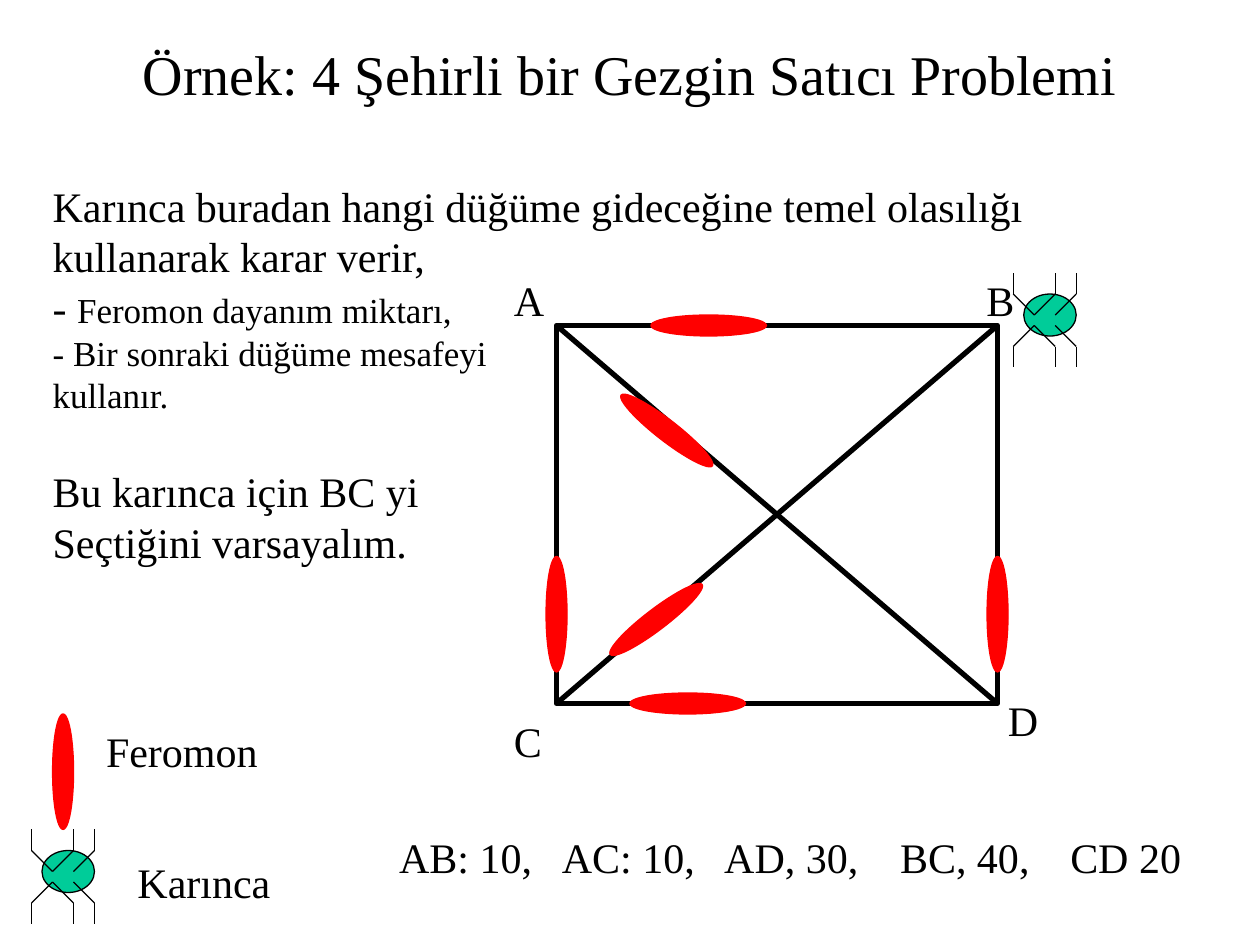
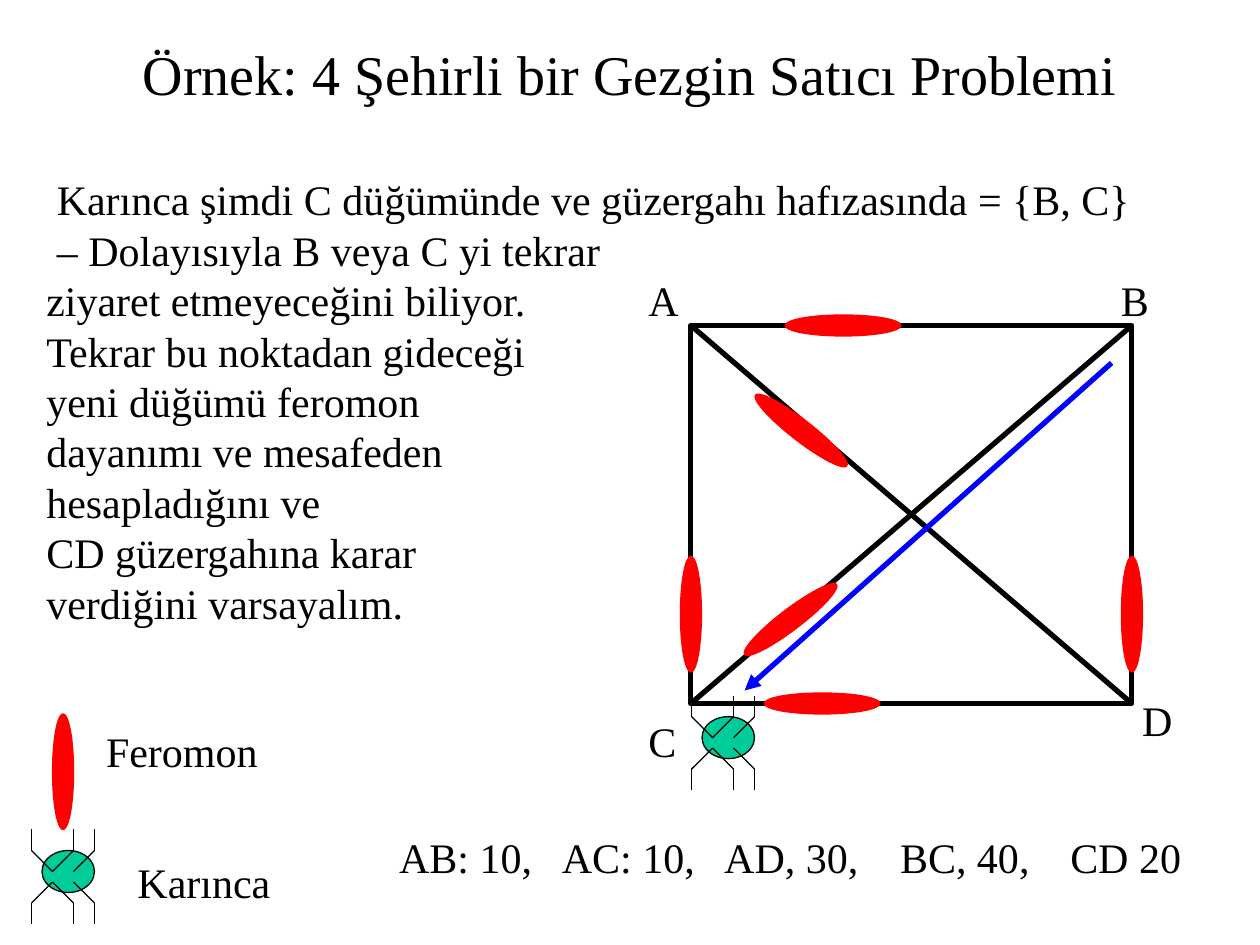
"""Two slides of an ant colony walking a four-city travelling salesman graph."""
import lxml.etree
import pptx
import pptx.dml.color
import pptx.enum.shapes
import pptx.enum.text
import pptx.oxml.ns
import pptx.util

Pt = pptx.util.Pt
OVAL = pptx.enum.shapes.MSO_SHAPE.OVAL
RECTANGLE = pptx.enum.shapes.MSO_SHAPE.RECTANGLE
STRAIGHT = pptx.enum.shapes.MSO_CONNECTOR.STRAIGHT
CENTER = pptx.enum.text.PP_ALIGN.CENTER

COLORS = {"ink": "000000", "pheromone": "FF0000", "ant": "00CC99", "route": "0000FF"}
FONT = "Times New Roman"
LINE_HEIGHT = 1.2
SPACE = 6

TITLE = "Örnek: 4 Şehirli bir Gezgin Satıcı Problemi"
DISTANCES = ["AB: 10,", "AC: 10,", "AD, 30,", "BC, 40,", "CD 20"]
DISTANCE_TABS = [93, 185.75, 286.25, 383.5]
LEGEND = [("Feromon", 53.5, 411, 101), ("Karınca", 71.5, 486, 91)]
LEGEND_PHEROMONE = (3, 435, 90)
LEGEND_ANT = (24, 486)

SQUARE_TOP, SQUARE_WIDTH, SQUARE_HEIGHT = 186, 252, 216
CITIES = {"A": (-31.4, -32.6), "B": (238.6, -32.6), "C": (-31.4, 219.4), "D": (250.8, 207.2)}
TRAILS = [(42, 210, 0), (54, -6, 0), (24, 162, 322.7), (30, 54, 37.8), (219, 159, 90), (-33, 159, 90)]
LEGS = [(30, 18), (18, 6), (-6, 6)]

SLIDES = [
    {
        "square_left": 318, "ant": (585, 168), "route": None,
        "body": (23, 99.5, 643, 228),
        "paragraphs": [
            {"spans": [("Karınca buradan hangi düğüme gideceğine temel olasılığı kullanarak karar verir,", 24)]},
            {"spans": [("- ", 24), ("Feromon dayanım miktarı,", 20)]},
            {"spans": [("- Bir sonraki düğüme mesafeyi", 20)]},
            {"spans": [("kullanır.", 20)]},
            {"spans": [("Bu karınca için BC yi", 24)], "before": 28.8},
            {"spans": [("Seçtiğini varsayalım.", 24)]},
        ],
    },
    {
        "square_left": 394.8, "ant": (401.2, 409.5), "route": (635.2, 207.4, 425.5, 394.6),
        "body": (19.4, 95.8, 665, 266),
        "paragraphs": [
            {"spans": [("Karınca şimdi C düğümünde ve güzergahı hafızasında = {B, C}", 24)], "indent": SPACE},
            {"spans": [("– Dolayısıyla B veya C yi tekrar", 24)], "indent": SPACE},
            {"spans": [("ziyaret etmeyeceğini biliyor.", 24)]},
            {"spans": [("Tekrar bu noktadan gideceği", 24)]},
            {"spans": [("yeni düğümü feromon", 24)]},
            {"spans": [("dayanımı ve mesafeden", 24)]},
            {"spans": [("hesapladığını ve", 24)]},
            {"spans": [("CD güzergahına karar", 24)]},
            {"spans": [("verdiğini varsayalım.", 24)]},
        ],
    },
]


def rgb(name):
    return pptx.dml.color.RGBColor.from_string(COLORS[name])


def apply(target, values):
    for name, value in values.items():
        setattr(target, name, value)


def add_element(parent, tag, **attributes):
    return lxml.etree.SubElement(parent, pptx.oxml.ns.qn(tag), attributes)


def add_text(page, place, paragraphs, wrap=True, align=None, tabs=()):
    box = page.shapes.add_textbox(*map(Pt, place))
    frame = box.text_frame
    apply(frame, {"word_wrap": wrap, "margin_left": Pt(7.2), "margin_right": Pt(7.2),
                  "margin_top": Pt(3.6), "margin_bottom": Pt(3.6)})
    if align == CENTER:
        frame.vertical_anchor = pptx.enum.text.MSO_ANCHOR.MIDDLE
    for index, item in enumerate(paragraphs):
        para = frame.add_paragraph() if index else frame.paragraphs[0]
        largest = max(size for _, size in item["spans"])
        apply(para, {"alignment": align, "line_spacing": Pt(largest * LINE_HEIGHT)})
        if "before" in item:
            para.space_before = Pt(item["before"])
        properties = para._p.get_or_add_pPr()
        if "indent" in item:
            properties.set("marL", str(Pt(item["indent"])))
        if tabs:
            tab_list = add_element(properties, "a:tabLst")
            for position in tabs:
                add_element(tab_list, "a:tab", pos=str(Pt(position)), algn="l")
        for text, size in item["spans"]:
            span = para.add_run()
            span.text = text
            apply(span.font, {"name": FONT, "size": Pt(size)})
            span.font.color.rgb = rgb("ink")


def add_label(page, text, left, top, width):
    add_text(page, (left, top, width, 36), [{"spans": [(text, 24)]}], wrap=False)


def add_line(shapes, ends, color="ink", width=3):
    line = shapes.add_connector(STRAIGHT, *map(Pt, ends))
    line.line.color.rgb = rgb(color)
    line.line.width = Pt(width)
    add_element(line._element.spPr, "a:effectLst")
    return line


def add_outlined(shapes, kind, place, fill, line="ink", width=0.75):
    shape = shapes.add_shape(kind, *map(Pt, place))
    shape.shadow.inherit = False
    if fill:
        shape.fill.solid()
        shape.fill.fore_color.rgb = rgb(fill)
    else:
        shape.fill.background()
    shape.line.color.rgb = rgb(line)
    shape.line.width = Pt(width)
    return shape


def add_pheromone(page, left, top, angle):
    trail = add_outlined(page.shapes, OVAL, (left, top, 66, 12), "pheromone", "pheromone")
    trail.rotation = angle


def add_ant(page, left, top):
    ant = page.shapes.add_group_shape().shapes
    add_outlined(ant, OVAL, (left, top, 30, 24), "ant")
    for hip, knee, foot in ((12, 0, -12), (18, 30, 42)):
        for foot_x, hip_x in LEGS:
            add_line(ant, (left + hip_x, top + hip, left + foot_x, top + knee), width=0.75)
            add_line(ant, (left + foot_x, top + knee, left + foot_x, top + foot), width=0.75)


def add_graph(page, left):
    top, right, bottom = SQUARE_TOP, left + SQUARE_WIDTH, SQUARE_TOP + SQUARE_HEIGHT
    for city, (x, y) in CITIES.items():
        add_label(page, city, left + x, top + y, 31)
    add_outlined(page.shapes, RECTANGLE, (left, top, SQUARE_WIDTH, SQUARE_HEIGHT), None, width=3)
    add_line(page.shapes, (left, top, right, bottom))
    add_line(page.shapes, (left, bottom, right, top))


def add_route(page, ends):
    route = add_line(page.shapes, ends, "route")
    outline = route._element.spPr.find(pptx.oxml.ns.qn("a:ln"))
    add_element(outline, "a:tailEnd", type="triangle")


def build_page(deck, content):
    page = deck.slides.add_slide(deck.slide_layouts[6])
    left = content["square_left"]
    add_graph(page, left)
    add_ant(page, *content["ant"])
    for x, y, angle in TRAILS:
        add_pheromone(page, left + x, SQUARE_TOP + y, angle)
    add_pheromone(page, *LEGEND_PHEROMONE)
    add_ant(page, *LEGEND_ANT)
    for entry in LEGEND:
        add_label(page, *entry)
    add_text(page, (221, 471.6, 470, 36), [{"spans": [("\t".join(DISTANCES), 24)]}], tabs=DISTANCE_TABS)
    add_text(page, content["body"], content["paragraphs"])
    if content["route"]:
        add_route(page, content["route"])
    add_text(page, (54, 18, 612, 48), [{"spans": [(TITLE, 32)]}], align=CENTER)


def main():
    deck = pptx.Presentation()
    apply(deck, {"slide_width": Pt(720), "slide_height": Pt(540)})
    for content in SLIDES:
        build_page(deck, content)
    deck.save("out.pptx")


if __name__ == "__main__":
    main()
